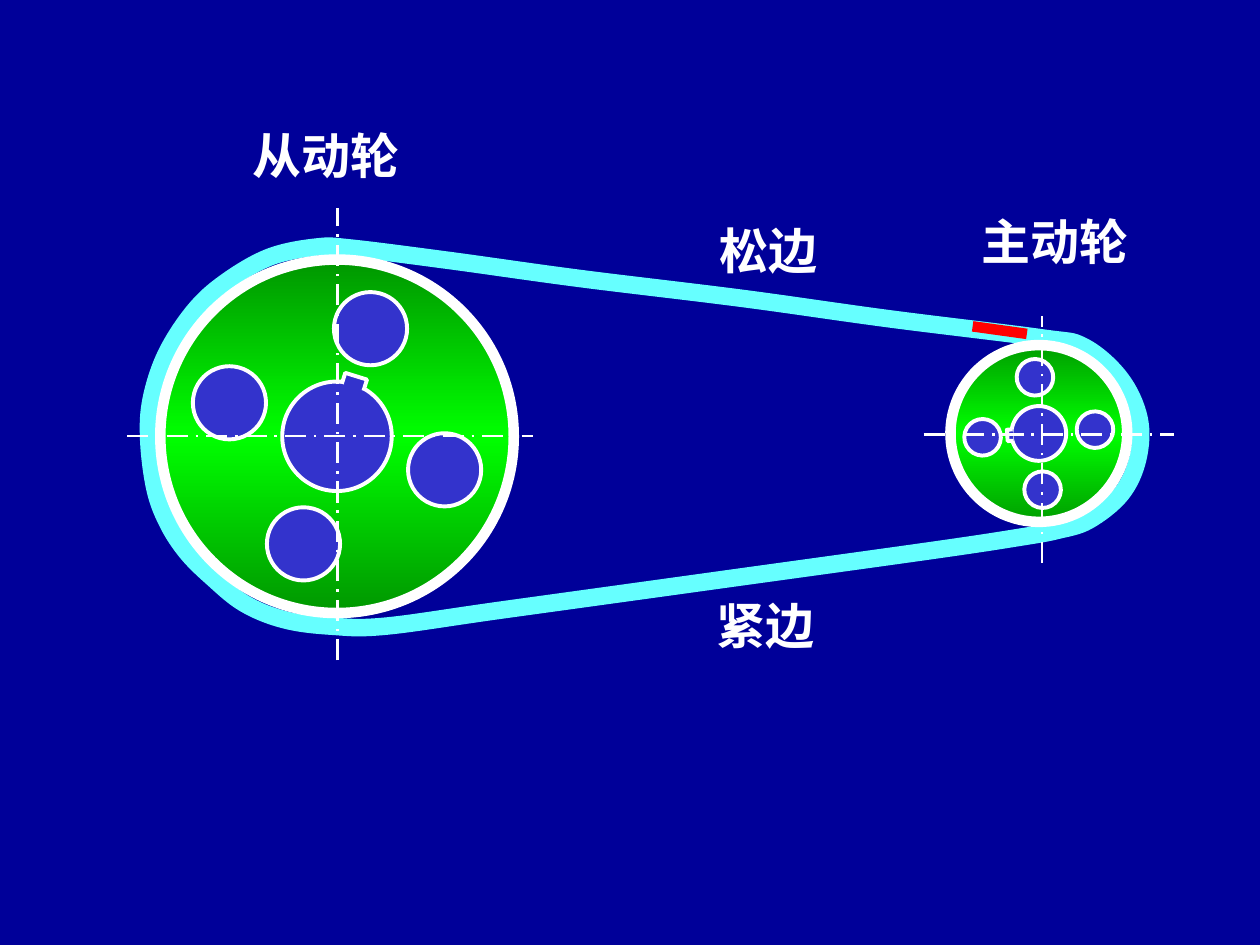
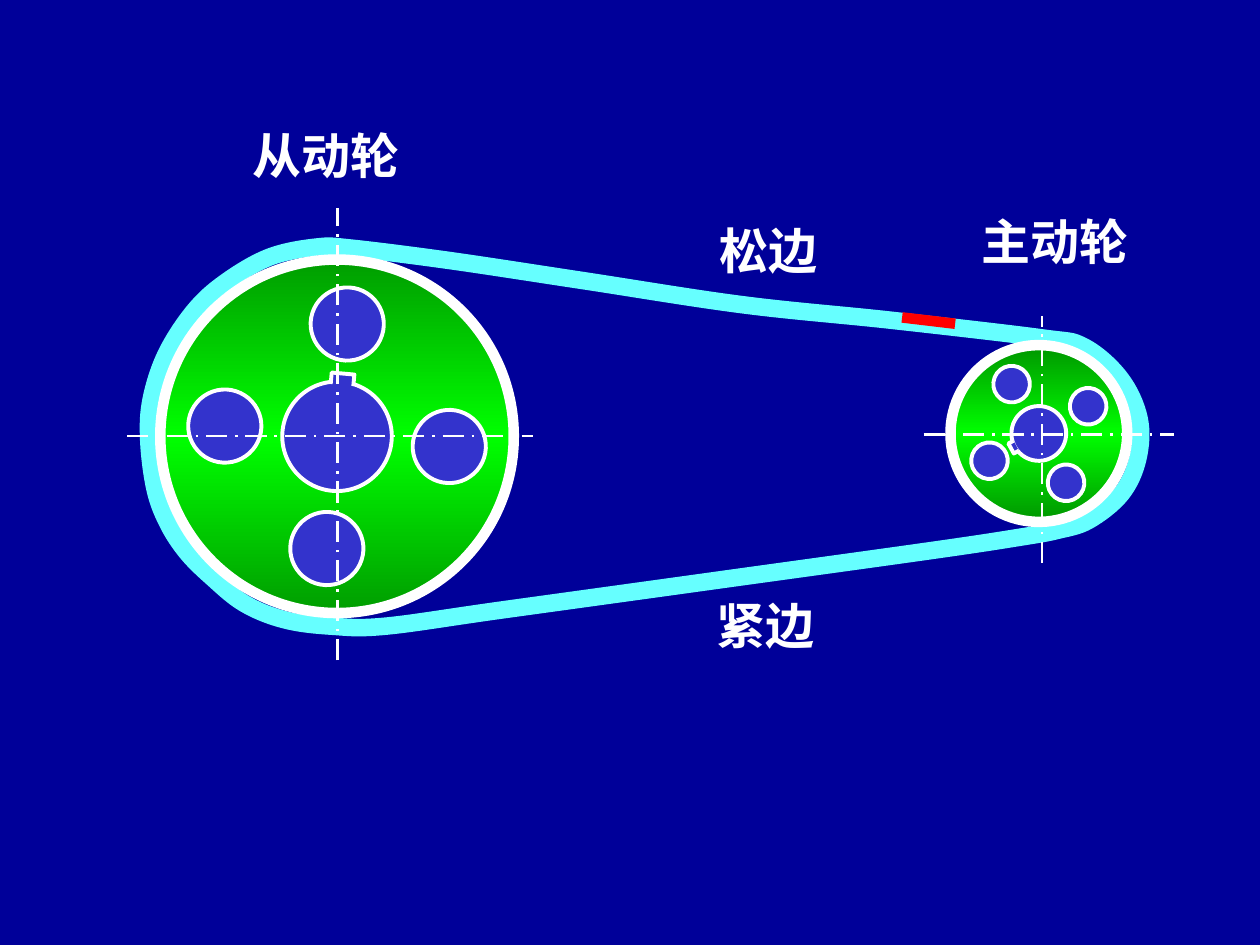
from copy import deepcopy
from dataclasses import dataclass
from math import cos, radians, sin

from lxml import etree
from pptx import Presentation
from pptx.dml.color import RGBColor
from pptx.enum.dml import MSO_LINE
from pptx.enum.shapes import MSO_CONNECTOR, MSO_SHAPE
from pptx.enum.text import MSO_AUTO_SIZE, PP_ALIGN
from pptx.oxml.ns import qn
from pptx.util import Pt

OVAL = MSO_SHAPE.OVAL
STRAIGHT = MSO_CONNECTOR.STRAIGHT
DASH = MSO_LINE.LONG_DASH_DOT
GROW = MSO_AUTO_SIZE.SHAPE_TO_FIT_TEXT
CENTER = PP_ALIGN.CENTER


@dataclass(frozen=True)
class Theme:
    back: str = "000099"
    white: str = "FFFFFF"
    belt: str = "66FFFF"
    mark: str = "FF0000"
    hole: str = "3333CC"
    dark: str = "007500"
    light: str = "00FF00"
    font: str = "Times New Roman"
    size: float = 28
    edge: float = 2.25
    rim: float = 6
    axis: float = 1.5
    band: float = 10


THEME = Theme()

LOOP = [
    (257.8, 149), (200.9, 141.8), (181.4, 141.1), (154.1, 146.9),
    (128.9, 161.3), (110.9, 177.8), (95, 202.3), (86.4, 228.2),
    (85, 251.3), (88.6, 279.4), (95.8, 298.8), (106.6, 315.4),
    (121, 329.8), (139.7, 344.9), (162.7, 354.2), (189.4, 357.8),
    (220.3, 357.8), (287.3, 348.5), (417.6, 330.5), (537.1, 313.9),
    (584.6, 306.7), (604.1, 303.1), (622.1, 297.4), (640.8, 282.2),
    (650.2, 262.1), (650.9, 239), (640.1, 216), (619.2, 198), (594.7, 193),
]
AXES = [
    (72.7, 249.1, 304.6, 249.1), (193, 377.3, 193, 118.8),
    (527.8, 248.4, 671, 248.4), (595.4, 321.8, 595.4, 180.7),
]
LABELS = [
    ("主动轮 ", 543.6, 117.4, 125.3), ("从动轮 ", 126.7, 68.4, 125.3),
    ("松边 ", 399.6, 122.4, 85), ("紧边 ", 398.2, 337, 85),
]
FRAMES = [
    {"slack": [(508.3, 182.2), (424.8, 170.6), (331.2, 159.1)],
     "mark": (555.8, 186.5, 586.8, 190.8), "big": 17.3, "small": -93.9},
    {"slack": [(508.3, 182.9), (424.8, 174.2), (334.8, 160.6)],
     "mark": (515.5, 181.4, 545.8, 185), "big": 5.2, "small": -118.9},
]
BIG = (192.6, 249.3, 1)
SMALL = (593.6, 247.7, 0.5)
RIM, HUB, HOLE, ORBIT = 202, 62.6, 41.8, 64.4
KEY = [(-6.3, -29.4), (-6.3, -36), (6.7, -36), (6.7, -29.4)]
TILT = 230.3


def color(code):
    return RGBColor.from_string(code)


def stroke(shape, code, width):
    shape.line.color.rgb = color(code)
    shape.line.width = Pt(width)


def paint(shape):
    shape.shadow.inherit = False
    shape.fill.solid()
    shape.fill.fore_color.rgb = color(THEME.hole)
    stroke(shape, THEME.white, THEME.edge)


def shade(shape):
    fill = shape.fill
    fill.gradient()
    fill.gradient_angle = 90
    first, last = fill.gradient_stops
    first.position, last.position = 0, 0.5
    first.color.rgb = color(THEME.dark)
    last.color.rgb = color(THEME.light)
    grad = shape.element.spPr.find(qn("a:gradFill"))
    grad.set("rotWithShape", "0")
    stops = grad.find(qn("a:gsLst"))
    end = deepcopy(stops[0])
    end.set("pos", "100000")
    stops.append(end)


def disc(shapes, x, y, size, turn):
    shape = shapes.add_shape(OVAL, Pt(x - size / 2), Pt(y - size / 2), Pt(size), Pt(size))
    shape.rotation = turn % 360
    paint(shape)
    return shape


def outline(shapes, points, close):
    spots = [(Pt(x), Pt(y)) for x, y in points]
    pen = shapes.build_freeform(*spots[0])
    pen.add_line_segments(spots[1:], close=close)
    shape = pen.convert_to_shape()
    shape.shadow.inherit = False
    return shape


def smooth(shape):
    track = next(shape.element.iter(qn("a:path")))
    spots = [(int(pt.get("x")), int(pt.get("y"))) for pt in track.iter(qn("a:pt"))]
    for node in list(track)[1:]:
        track.remove(node)
    count = len(spots)
    for i in range(count):
        a, b, c, d = (spots[(i + k) % count] for k in (-1, 0, 1, 2))
        lead = [q + (r - p) / 6 for p, q, r in zip(a, b, c)]
        tail = [q - (r - p) / 6 for p, q, r in zip(b, c, d)]
        curve = etree.SubElement(track, qn("a:cubicBezTo"))
        for x, y in (lead, tail, c):
            etree.SubElement(curve, qn("a:pt"), x=str(round(x)), y=str(round(y)))
    etree.SubElement(track, qn("a:close"))


def belt(slide, slack):
    shape = outline(slide.shapes, LOOP + slack, True)
    smooth(shape)
    shape.fill.background()
    stroke(shape, THEME.belt, THEME.band)


def wheel(slide, place, spin):
    left, top, scale = place
    shapes = slide.shapes.add_group_shape().shapes

    def turn(x, y, angle):
        c, s = cos(radians(angle)), sin(radians(angle))
        return left + scale * (x * c - y * s), top + scale * (x * s + y * c)

    tilt = spin + TILT
    rim = disc(shapes, left, top, RIM * scale, tilt)
    shade(rim)
    stroke(rim, THEME.white, THEME.rim)
    for step in range(4):
        x, y = turn(ORBIT, 0, spin + 90 * step)
        disc(shapes, x, y, HOLE * scale, tilt)
    disc(shapes, left, top, HUB * scale, tilt)
    paint(outline(shapes, [turn(x, y, spin) for x, y in KEY], False))


def line(slide, ends, code, width):
    shape = slide.shapes.add_connector(STRAIGHT, *map(Pt, ends))
    stroke(shape, code, width)
    etree.SubElement(shape.element.spPr, qn("a:effectLst"))
    return shape


def label(slide, text, x, y, width):
    frame = slide.shapes.add_textbox(Pt(x), Pt(y), Pt(width), Pt(41)).text_frame
    frame.word_wrap = True
    frame.auto_size = GROW
    frame.text = text
    para = frame.paragraphs[0]
    para.alignment = CENTER
    font = para.runs[0].font
    font.name, font.size, font.bold = THEME.font, Pt(THEME.size), True
    font.color.rgb = color(THEME.white)


def scene(deck, frame):
    slide = deck.slides.add_slide(deck.slide_layouts[6])
    fill = slide.background.fill
    fill.solid()
    fill.fore_color.rgb = color(THEME.back)
    belt(slide, frame["slack"])
    wheel(slide, SMALL, frame["small"])
    wheel(slide, BIG, frame["big"])
    for ends in AXES:
        line(slide, ends, THEME.white, THEME.axis).line.dash_style = DASH
    line(slide, frame["mark"], THEME.mark, THEME.rim)
    for item in LABELS:
        label(slide, *item)


def main():
    deck = Presentation()
    deck.slide_width, deck.slide_height = Pt(720), Pt(540)
    for frame in FRAMES:
        scene(deck, frame)
    deck.save("out.pptx")


if __name__ == "__main__":
    main()
